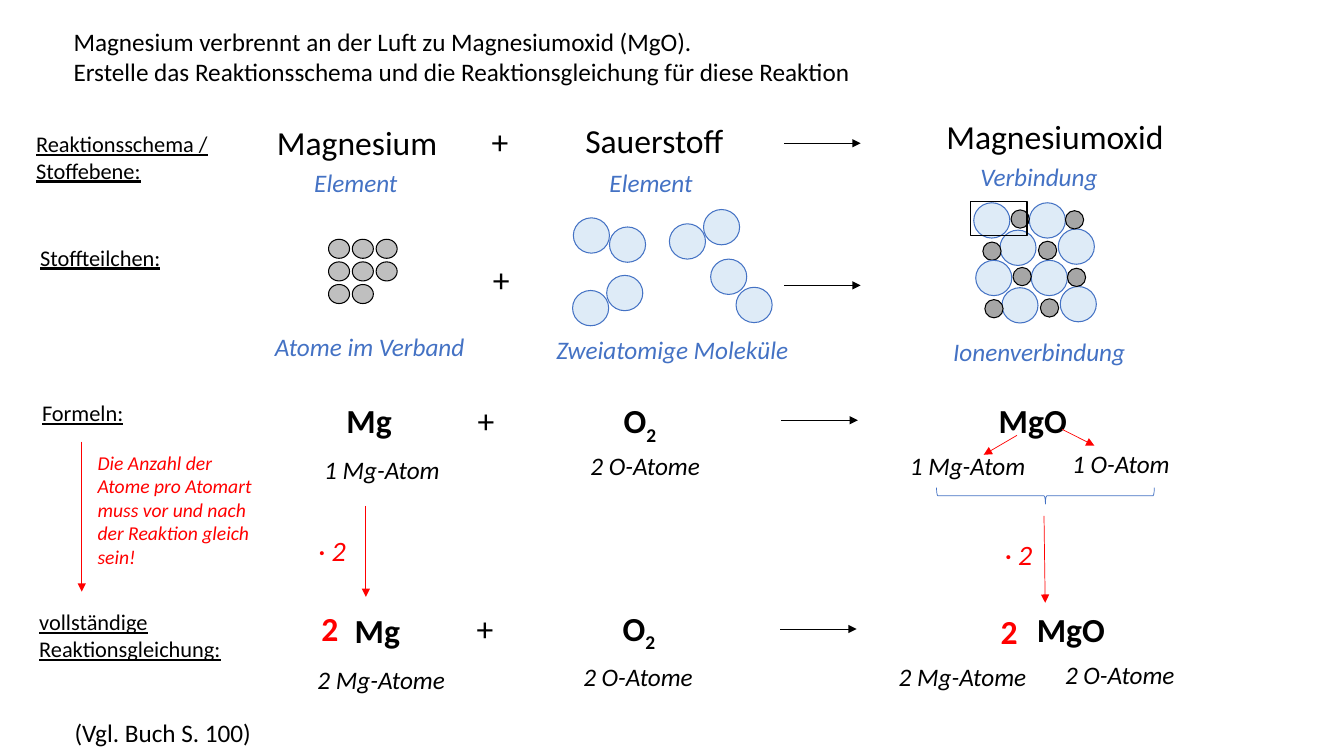
from dataclasses import dataclass

from lxml.etree import SubElement
from pptx import Presentation
from pptx.dml.color import RGBColor
from pptx.enum.shapes import MSO_CONNECTOR as Connector, MSO_SHAPE as Shape
from pptx.enum.text import MSO_ANCHOR as Anchor, MSO_AUTO_SIZE as AutoSize, PP_ALIGN as Align
from pptx.oxml.ns import qn
from pptx.util import Cm, Pt


@dataclass(frozen=True)
class Style:
    size: int
    color: str = "000000"
    bold: bool = False
    italic: bool = False
    underline: bool = False


@dataclass(frozen=True)
class Theme:
    font: str = "Calibri"
    black: str = "000000"
    red: str = "FF0000"
    blue: str = "4472C4"
    metal: str = "BFBFBF"
    metal_ion: str = "A6A6A6"
    oxygen: str = "DEEBF7"
    task: Style = Style(18)
    substance: Style = Style(24)
    formula: Style = Style(24, bold=True)
    coefficient: Style = Style(24, "FF0000", bold=True)
    factor: Style = Style(20, "FF0000", italic=True)
    category: Style = Style(18, "4472C4", italic=True)
    count: Style = Style(18, italic=True)
    level: Style = Style(16, underline=True)
    note: Style = Style(14, "FF0000", italic=True)


@dataclass(frozen=True)
class Box:
    left: float
    top: float
    width: float = 0
    height: float = 0

    def at(self, x, y):
        return Cm(self.left + x), Cm(self.top + y)


THEME = Theme()


def format_runs(frame, style):
    for paragraph in frame.paragraphs:
        for run in paragraph.runs:
            font = run.font
            font.name, font.size = THEME.font, Pt(style.size)
            font.color.rgb = RGBColor.from_string(style.color)
            font.bold, font.italic, font.underline = style.bold, style.italic, style.underline


def write(slide, box, x, y, width, text, style, lines=1, subscript=""):
    height = 0.25 + lines * style.size * 0.0425
    frame = slide.shapes.add_textbox(*box.at(x, y), Cm(width), Cm(height)).text_frame
    frame.word_wrap = True
    frame.auto_size = AutoSize.SHAPE_TO_FIT_TEXT
    frame.text = text
    if subscript:
        index = frame.paragraphs[0].add_run()
        index.text = subscript
        index.font._element.set("baseline", "-25000")
    format_runs(frame, style)


def arrow(slide, box, start, end, color):
    line = slide.shapes.add_connector(Connector.STRAIGHT, *box.at(*start), *box.at(*end))
    line.line.color.rgb = RGBColor.from_string(color)
    line.line.width = Pt(0.5)
    SubElement(line.line._get_or_add_ln(), qn("a:tailEnd"), type="triangle")
    SubElement(line._element.spPr, qn("a:effectLst"))


def outline(slide, box, kind, x, y, width, height, color, weight, fill=None):
    shape = slide.shapes.add_shape(kind, *box.at(x, y), Cm(width), Cm(height))
    shape.shadow.inherit = False
    shape.line.color.rgb = RGBColor.from_string(color)
    shape.line.width = Pt(weight)
    if fill:
        shape.fill.solid()
        shape.fill.fore_color.rgb = RGBColor.from_string(fill)
    else:
        shape.fill.background()
    return shape


def oxygen_particle(slide, box, x, y):
    outline(slide, box, Shape.OVAL, x, y, 0.91, 0.89, THEME.blue, 0.75, THEME.oxygen)


def task_heading(slide, box):
    title = slide.shapes.title
    title.left, title.top = box.at(0, 0)
    title.width, title.height = Cm(box.width), Cm(box.height)
    frame = title.text_frame
    frame.text = ("Magnesium verbrennt an der Luft zu Magnesiumoxid (MgO).\n"
                  "Erstelle das Reaktionsschema und die Reaktionsgleichung für diese Reaktion")
    frame.vertical_anchor, frame.auto_size = Anchor.TOP, AutoSize.NONE
    for paragraph in frame.paragraphs:
        paragraph.alignment = Align.LEFT
    format_runs(frame, THEME.task)


def level_labels(slide, box):
    for x, y, width, label, lines in (
            (0, 0, 4.95, "Reaktionsschema / Stoffebene:", 2),
            (0.1, 2.87, 4.37, "Stoffteilchen:", 1),
            (0.15, 6.78, 4.37, "Formeln:", 1),
            (0.08, 12.06, 5.51, "vollständige Reaktionsgleichung:", 2)):
        write(slide, box, x, y, width, label, THEME.level, lines)
    arrow(slide, box, (1.4, 7.98), (1.4, 11.76), THEME.red)
    write(slide, box, 1.55, 8.08, 4.8, "Die Anzahl der Atome pro Atomart muss vor und nach "
          "der Reaktion gleich sein!", THEME.note, 5)


def operators(slide, box):
    """Plus sign and reaction arrow of each of the four levels."""
    for plus_x, plus_y, arrow_x, arrow_y in ((0.38, 0, 8, 0.69), (0.41, 3.48, 8, 4.27),
                                             (0.03, 7.04, 7.93, 7.67), (0, 12.27, 7.9, 12.93)):
        write(slide, box, plus_x, plus_y, 1.68, "+", THEME.substance)
        arrow(slide, box, (arrow_x, arrow_y), (arrow_x + 1.93, arrow_y), THEME.black)


def magnesium_column(slide, box):
    write(slide, box, 0.05, 0, 4.88, "Magnesium", THEME.substance)
    write(slide, box, 0.99, 1.14, 3.07, "Element", THEME.category)
    for atom in range(8):
        row, column = divmod(atom, 3)
        outline(slide, box, Shape.OVAL, 1.6 + 0.6 * column, 3.08 + 0.57 * row,
                0.53, 0.48, THEME.black, 0.75, THEME.metal)
    write(slide, box, 0, 5.28, 5.44, "Atome im Verband", THEME.category)
    write(slide, box, 1.8, 7.01, 1.85, "Mg", THEME.formula)
    write(slide, box, 1.24, 8.38, 3.7, "1 Mg-Atom", THEME.count)
    arrow(slide, box, (2.54, 9.8), (2.54, 12.09), THEME.red)
    write(slide, box, 1.09, 10.36, 1.8, "· 2", THEME.factor)
    write(slide, box, 1.17, 12.24, 1.17, "2", THEME.coefficient)
    write(slide, box, 2.01, 12.29, 1.85, "Mg", THEME.formula)
    write(slide, box, 1.07, 13.66, 4.01, "2 Mg-Atome", THEME.count)


def oxygen_column(slide, box):
    write(slide, box, 0.73, 0, 4.78, "Sauerstoff", THEME.substance)
    write(slide, box, 1.34, 1.19, 3.07, "Element", THEME.category)
    for x, y, bond_x, bond_y in ((0.68, 2.59, 0.91, 0.23), (3.1, 2.74, 0.86, -0.36),
                                 (0.66, 4.42, 0.86, -0.38), (4.14, 3.63, 0.64, 0.71)):
        oxygen_particle(slide, box, x, y)
        oxygen_particle(slide, box, x + bond_x, y + bond_y)
    write(slide, box, 0, 5.41, 6.6, "Zweiatomige Moleküle", THEME.category)
    for x, y, count_x, count_y in ((1.7, 7.06, 0.86, 8.33), (1.67, 12.29, 0.68, 13.64)):
        write(slide, box, x, y, 1.85, "O", THEME.formula, subscript="2")
        write(slide, box, count_x, count_y, 3.7, "2 O-Atome", THEME.count)


def ion_lattice(slide, box):
    """Two equal layers of ions, with one formula unit framed."""
    for layer in range(2):
        shift_x, shift_y = 0.05 * layer, 1.45 * layer
        for x, y in ((0, 0), (1.4, 0), (2.13, 0.66), (0.66, 0.69)):
            oxygen_particle(slide, box, x + shift_x, y + shift_y)
        for x, y in ((0.23, 0.99), (0.94, 0.18), (2.31, 0.2), (1.63, 0.97)):
            outline(slide, box, Shape.OVAL, x + shift_x, y + shift_y,
                    0.46, 0.46, THEME.black, 0.75, THEME.metal_ion)
    outline(slide, box, Shape.RECTANGLE, -0.08, -0.03, 1.42, 0.86, THEME.black, 1)


def oxide_column(slide, box):
    write(slide, box, 1.2, 0, 7.14, "Magnesiumoxid", THEME.substance)
    write(slide, box, 2.06, 1.15, 4.37, "Verbindung", THEME.category)
    ion_lattice(slide, Box(box.left + 2.14, box.top + 2.32))
    write(slide, box, 1.37, 5.57, 6.4, "Ionenverbindung", THEME.category)
    write(slide, box, 2.52, 7.17, 2.6, "MgO", THEME.formula)
    arrow(slide, box, (3.23, 8.18), (2.39, 8.67), THEME.red)
    arrow(slide, box, (4.37, 8.03), (5.18, 8.44), THEME.red)
    write(slide, box, 0.28, 8.44, 3.7, "1 Mg-Atom", THEME.count)
    write(slide, box, 4.37, 8.39, 3.7, "1 O-Atom", THEME.count)
    brace = outline(slide, box, Shape.RIGHT_BRACE, 3.74, 6.96, 0.41, 5.49, THEME.blue, 0.5)
    brace.rotation = 90
    arrow(slide, box, (3.91, 10.21), (3.94, 12.4), THEME.red)
    write(slide, box, 2.67, 10.62, 1.8, "· 2", THEME.factor)
    write(slide, box, 2.57, 12.48, 1.17, "2", THEME.coefficient)
    write(slide, box, 3.48, 12.42, 2.6, "MgO", THEME.formula)
    write(slide, box, 0, 13.75, 4.01, "2 Mg-Atome", THEME.count)
    write(slide, box, 4.19, 13.69, 3.7, "2 O-Atome", THEME.count)


def book_reference(slide, box):
    write(slide, box, 0, 0, box.width, "(Vgl. Buch S. 100)", THEME.task)


def main():
    deck = Presentation()
    deck.slide_width, deck.slide_height = Cm(33.87), Cm(19.05)
    slide = deck.slides.add_slide(deck.slide_layouts.get_by_name("Title Only"))
    task_heading(slide, Box(1.6, 0.53, 28.42, 1.8))
    level_labels(slide, Box(0.66, 3.15))
    operators(slide, Box(11.76, 2.92))
    magnesium_column(slide, Box(6.68, 2.95))
    oxygen_column(slide, Box(13.77, 2.9))
    oxide_column(slide, Box(22.4, 2.79))
    book_reference(slide, Box(1.63, 17.96, 7.26))
    deck.save("out.pptx")


if __name__ == "__main__":
    main()
